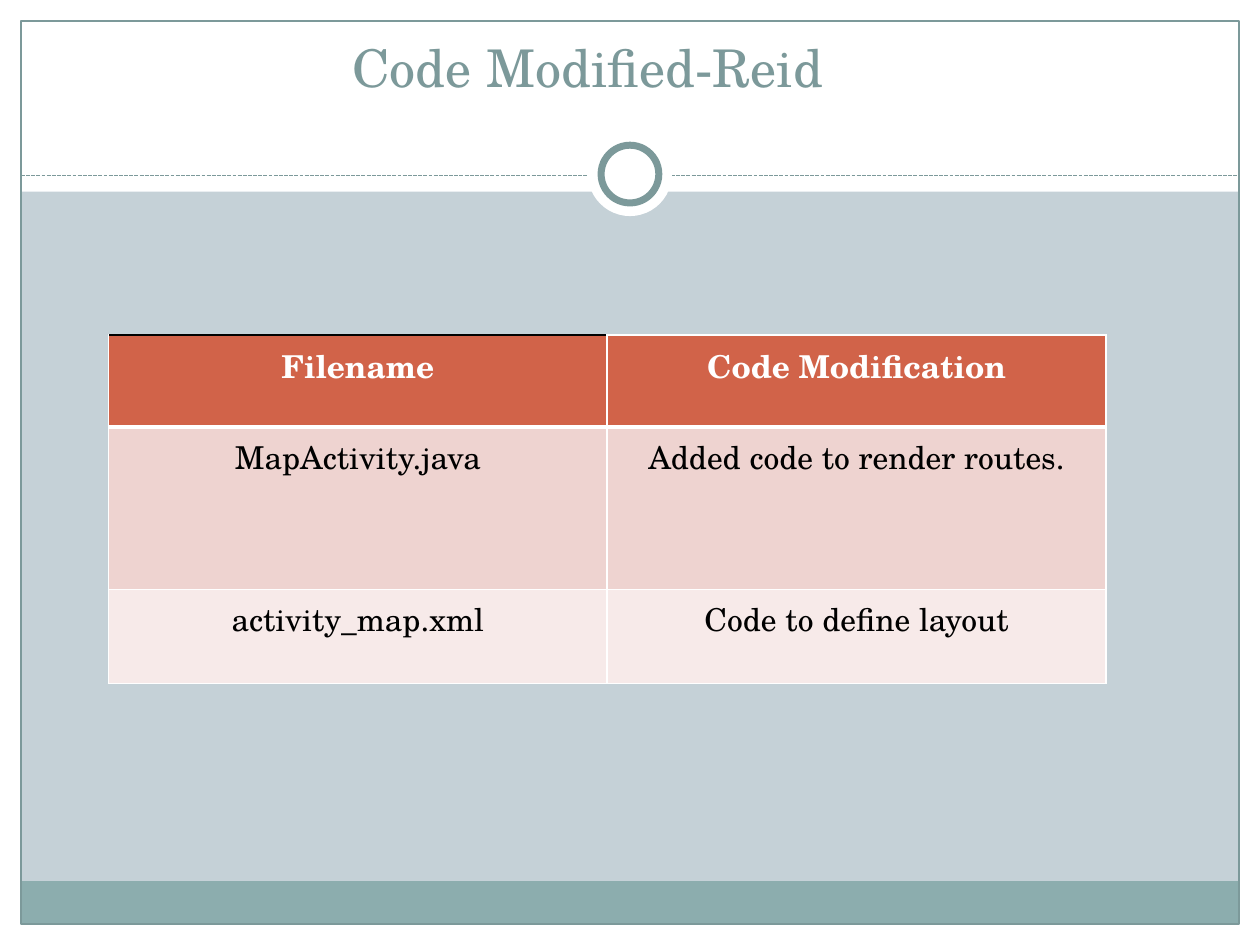
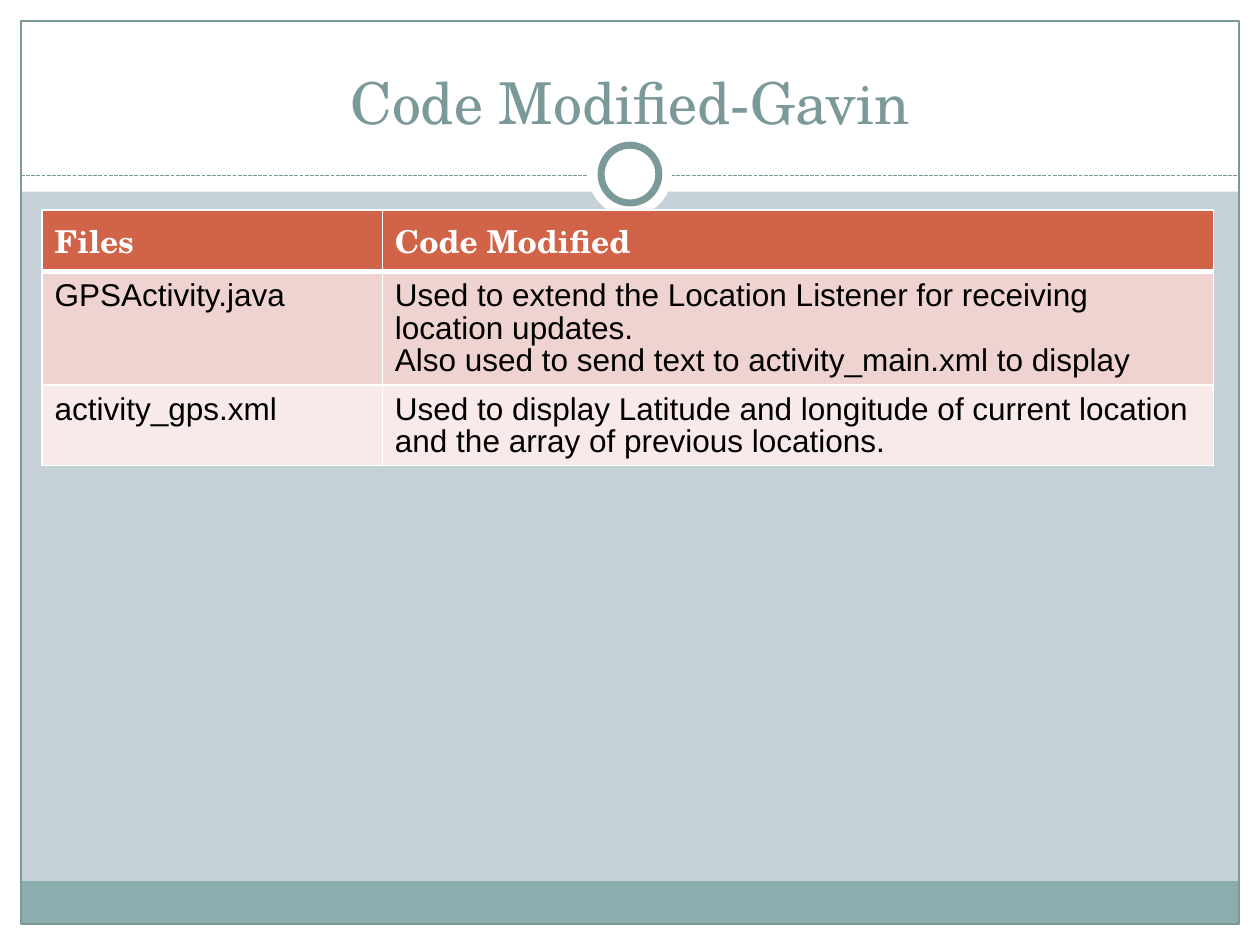
from pptx import Presentation
from pptx.dml.color import RGBColor as Rgb
from pptx.enum.dml import MSO_LINE as Dash
from pptx.enum.shapes import MSO_CONNECTOR as Conn, MSO_SHAPE as Kind
from pptx.enum.text import MSO_ANCHOR as Anchor, MSO_AUTO_SIZE as Auto, PP_ALIGN as Align
from pptx.oxml import parse_xml
from pptx.oxml.ns import nsdecls
from pptx.util import Pt

WHITE, BLACK = "FFFFFF", "000000"
TEAL, BAND, BACK = "7C999A", "8CADAE", "C5D1D7"
HEAD, ROWS = "D16349", ("EED3D0", "F7EAE9")
SERIF, SANS = "TeX Gyre Schola", "Arial"
WIDE, HIGH, EDGE = 720, 540, 12


def paint(target, color):
    """Give a fill or a line format a solid colour."""
    fill = getattr(target, "fill", target)
    fill.solid()
    fill.fore_color.rgb = Rgb.from_string(color)


def style(para, font, size, color, bold=False):
    """Set the font of a whole paragraph."""
    para.font.name = font
    para.font.size = Pt(size)
    para.font.bold = bold
    para.font.color.rgb = Rgb.from_string(color)


def shape(slide, kind, box, fill=None, line=None, width=0.75):
    """Add a flat preset shape."""
    item = slide.shapes.add_shape(kind, *map(Pt, box))
    item.shadow.inherit = False
    if fill:
        paint(item.fill, fill)
    else:
        item.fill.background()
    if line:
        paint(item.line, line)
        item.line.width = Pt(width)
    else:
        item.line.fill.background()
    return item


def rule(slide, y):
    """Add the dashed line below the title."""
    item = slide.shapes.add_connector(Conn.STRAIGHT, Pt(EDGE), Pt(y), Pt(WIDE - EDGE), Pt(y))
    paint(item.line, TEAL)
    item.line.width = Pt(0.75)
    item.line.dash_style = Dash.SQUARE_DOT
    item.element.spPr.append(parse_xml(f"<a:effectLst {nsdecls('a')}/>"))
    return item


def ring(slide, size, **look):
    """Add a circle centred on the dashed line's badge."""
    return shape(slide, Kind.OVAL, ((WIDE - size) / 2, 99.5 - size / 2, size, size), **look)


def frame(slide, layout):
    """Draw the shared frame and move it to the layout."""
    paint(layout.background.fill, BACK)
    inner = WIDE - 2 * EDGE
    edges = (
        (0, HIGH - EDGE, WIDE, EDGE),
        (0, 0, WIDE, 109.5),
        (0, 0, EDGE, HIGH),
        (WIDE - EDGE, 0, EDGE, HIGH),
    )
    parts = [shape(slide, Kind.RECTANGLE, box, WHITE) for box in edges]
    parts += [
        shape(slide, Kind.RECTANGLE, (EDGE, 503.5, inner, 24.5), BAND),
        shape(slide, Kind.RECTANGLE, (EDGE, EDGE, inner, HIGH - 2 * EDGE), line=TEAL),
        rule(slide, 100.5),
        ring(slide, 48, fill=WHITE),
        ring(slide, 33, fill=WHITE, line=TEAL, width=4),
    ]
    for i, part in enumerate(parts):
        part.element.xpath(".//p:cNvPr")[0].set("id", str(20 + i))
        layout.shapes.element.insert(2 + i, part.element)


def title(slide, text, box, size):
    """Fill and place the title."""
    item = slide.shapes.title
    item.left, item.top, item.width, item.height = map(Pt, box)
    area = item.text_frame
    area.text = text
    area.auto_size = Auto.NONE
    area.vertical_anchor = Anchor.BOTTOM
    area.margin_top = area.margin_bottom = 0
    para = area.paragraphs[0]
    para.alignment = Align.CENTER
    style(para, SERIF, size, TEAL)


def border(cell, **sides):
    """Draw the cell's sides, each a colour and a width."""
    props = cell._tc.get_or_add_tcPr()
    for i, side in enumerate("LRTB"):
        color, width = sides.get(side, (WHITE, 1))
        props.insert(i, parse_xml(
            f'<a:ln{side} {nsdecls("a")} w="{Pt(width)}"><a:solidFill>'
            f'<a:srgbClr val="{color}"/></a:solidFill></a:ln{side}>'))


def table(slide, spot, cols, rows, data, font, align=None, top=3.6, space=None):
    """Add a table with a header row and tinted body rows."""
    size = sum(cols), sum(rows)
    grid = slide.shapes.add_table(len(rows), len(cols), *map(Pt, spot + size)).table
    for col, width in zip(grid.columns, cols):
        col.width = Pt(width)
    for r, (row, texts) in enumerate(zip(grid.rows, data)):
        row.height = Pt(rows[r])
        for cell, text in zip(row.cells, texts):
            cell.text = text
            paint(cell.fill, ROWS[r - 1] if r else HEAD)
            thick = {0: "B", 1: "T"}.get(r)
            border(cell, **({thick: (WHITE, 3)} if thick else {}))
            if r:
                cell.margin_top = Pt(top)
            for para in cell.text_frame.paragraphs:
                para.alignment = align
                para.line_spacing = space if r else None
                style(para, font if r else SERIF, 18, BLACK if r else WHITE, not r)
    return grid


def reid(slide):
    """Build the first list of changed files."""
    title(slide, "Code Modified-Reid", (0, 12, 672, 44), 29.7)
    data = (
        ("Filename", "Code Modification"),
        ("MapActivity.java", "Added code to render routes."),
        ("activity_map.xml", "Code to define layout"),
    )
    grid = table(slide, (62, 191.5), (285, 285), (52.5, 93, 53.5), data, SERIF, Align.CENTER)
    cell = grid.cell(0, 0)
    for line in cell._tc.tcPr.xpath("a:lnT//a:srgbClr"):
        line.set("val", BLACK)


def gavin(slide):
    """Build the second list of changed files."""
    title(slide, "Code Modified-Gavin", (24, 18, 672, 60), 33)
    data = (
        ("Files", "Code Modified"),
        ("GPSActivity.java",
         "Used to extend the Location Listener for receiving location updates.\n"
         "Also used to send text to activity_main.xml to display"),
        ("activity_gps.xml",
         "Used to display Latitude and longitude of current location "
         "and the array of previous locations."),
    )
    table(slide, (24, 120), (194.5, 475), (35, 65, 46), data, SANS, top=5, space=0.93)


def main():
    """Build both slides and save them."""
    deck = Presentation()
    deck.slide_width, deck.slide_height = Pt(WIDE), Pt(HIGH)
    layout = deck.slide_layouts[5]
    first, second = (deck.slides.add_slide(layout) for _ in range(2))
    frame(first, layout)
    reid(first)
    gavin(second)
    deck.save("out.pptx")


main()
